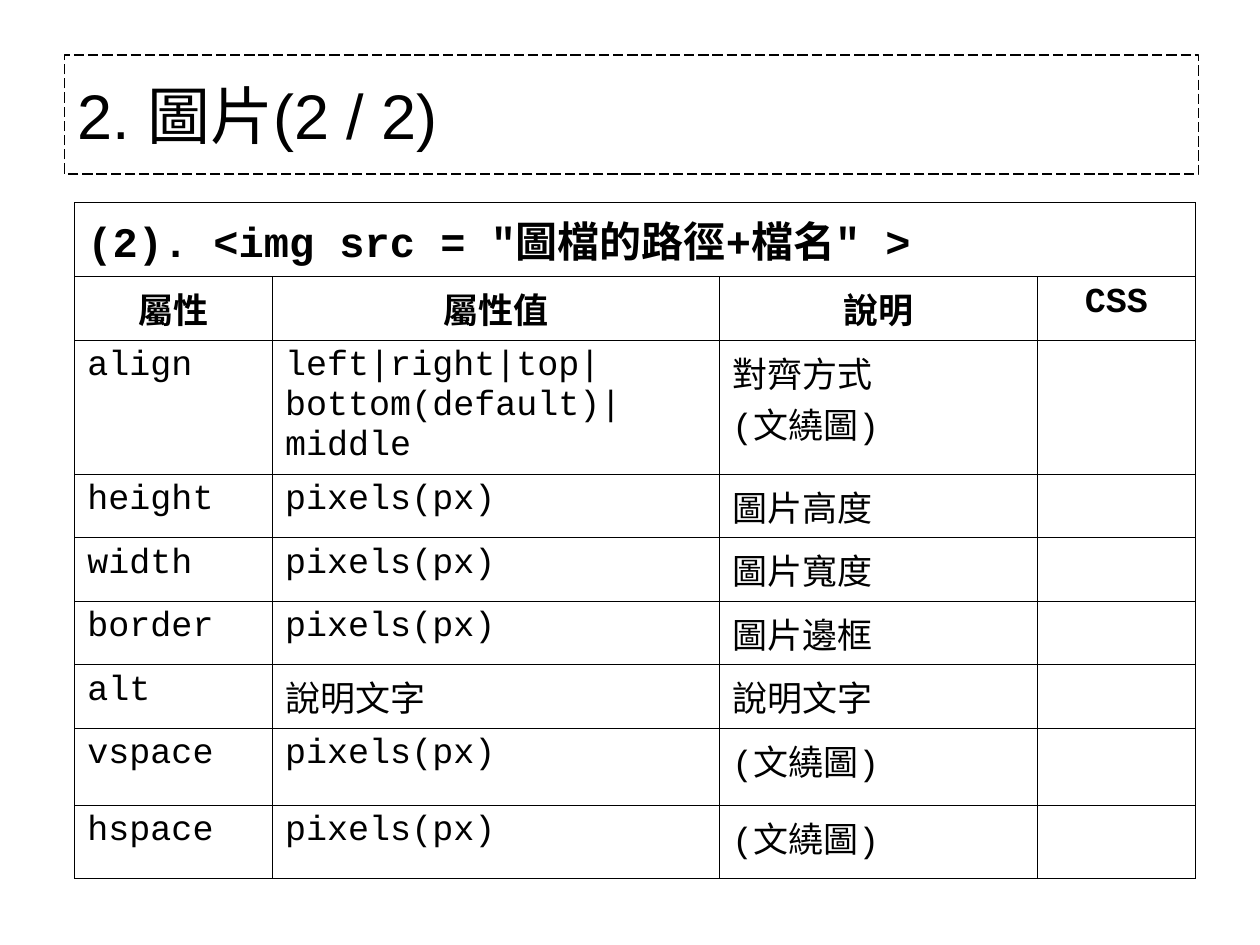
"""Build the slide on the attributes of the HTML img element."""
from lxml import etree
from pptx import Presentation
from pptx.dml.color import RGBColor
from pptx.enum.dml import MSO_LINE
from pptx.enum.text import MSO_ANCHOR, MSO_AUTO_SIZE, PP_ALIGN
from pptx.oxml.ns import qn
from pptx.util import Pt

BLACK = RGBColor(0, 0, 0)
LONG_DASH = MSO_LINE.LONG_DASH
MIDDLE = MSO_ANCHOR.MIDDLE
NO_AUTOFIT = MSO_AUTO_SIZE.NONE
LEFT, CENTER = PP_ALIGN.LEFT, PP_ALIGN.CENTER
TITLE_ONLY = 5

HEADING = '(2). <img src = "圖檔的路徑+檔名" >'
COLUMN_NAMES = ("屬性", "屬性值", "說明", "CSS")
PIXELS = "pixels(px)"
WRAPPED = "(文繞圖)"
ATTRIBUTES = (
    ("align", "left|right|top|\nbottom(default)| middle", f"對齊方式\n{WRAPPED}"),
    ("height", PIXELS, "圖片高度"),
    ("width", PIXELS, "圖片寬度"),
    ("border", PIXELS, "圖片邊框"),
    ("alt", "說明文字", "說明文字"),
    ("vspace", PIXELS, WRAPPED),
    ("hspace", PIXELS, WRAPPED),
)
COLUMN_WIDTHS = (113, 255.5, 181.5, 90.5)
ROW_HEIGHTS = (42, 36, 76.5, 36.2, 36.4, 36.2, 36.2, 44, 42)
BORDER_WIDTH = 0.45


def write_text(frame, text, size=20, font="Courier New", bold=False, align=LEFT):
    """Write each line of text as a formatted paragraph."""
    frame.text = text
    for paragraph in frame.paragraphs:
        paragraph.alignment = align
        for run in paragraph.runs:
            run.font.size = Pt(size)
            run.font.name = font
            run.font.bold = bold
            run.font.color.rgb = BLACK


def add_title(slide):
    """Place the title inside its dashed frame."""
    title = slide.shapes.title
    title.left, title.top = Pt(37), Pt(31.5)
    title.width, title.height = Pt(648), Pt(68)
    title.line.color.rgb = BLACK
    title.line.width = Pt(0.75)
    title.line.dash_style = LONG_DASH
    frame = title.text_frame
    frame.auto_size = NO_AUTOFIT
    frame.vertical_anchor = MIDDLE
    write_text(frame, "2. 圖片(2 / 2)", size=36, font="Arial")


def outline_cell(cell):
    """Give a cell thin borders on all sides and no fill."""
    properties = cell._tc.get_or_add_tcPr()
    for side in ("a:lnL", "a:lnR", "a:lnT", "a:lnB"):
        border = etree.SubElement(properties, qn(side), w=str(Pt(BORDER_WIDTH)))
        fill = etree.SubElement(border, qn("a:solidFill"))
        etree.SubElement(fill, qn("a:srgbClr"), val=str(BLACK))
    cell.fill.background()


def add_attribute_table(slide):
    """Add the table of attributes, their values and meanings."""
    table = slide.shapes.add_table(
        len(ROW_HEIGHTS), len(COLUMN_WIDTHS), Pt(42.75), Pt(115.9),
        Pt(sum(COLUMN_WIDTHS)), Pt(sum(ROW_HEIGHTS))).table
    table.first_row = table.horz_banding = False
    for column, width in zip(table.columns, COLUMN_WIDTHS):
        column.width = Pt(width)
    for row, height in zip(table.rows, ROW_HEIGHTS):
        row.height = Pt(height)
    for cell in table.iter_cells():
        outline_cell(cell)

    heading = table.cell(0, 0)
    heading.merge(table.cell(0, len(COLUMN_WIDTHS) - 1))
    write_text(heading.text_frame, HEADING, size=24, bold=True)
    for column, name in enumerate(COLUMN_NAMES):
        write_text(table.cell(1, column).text_frame, name, bold=True, align=CENTER)
    for row, attribute in enumerate(ATTRIBUTES, start=2):
        for column, text in enumerate(attribute):
            write_text(table.cell(row, column).text_frame, text)


def main():
    """Build and save the presentation."""
    presentation = Presentation()
    presentation.slide_width, presentation.slide_height = Pt(720), Pt(540)
    slide = presentation.slides.add_slide(presentation.slide_layouts[TITLE_ONLY])
    add_title(slide)
    add_attribute_table(slide)
    presentation.save("out.pptx")


if __name__ == "__main__":
    main()
